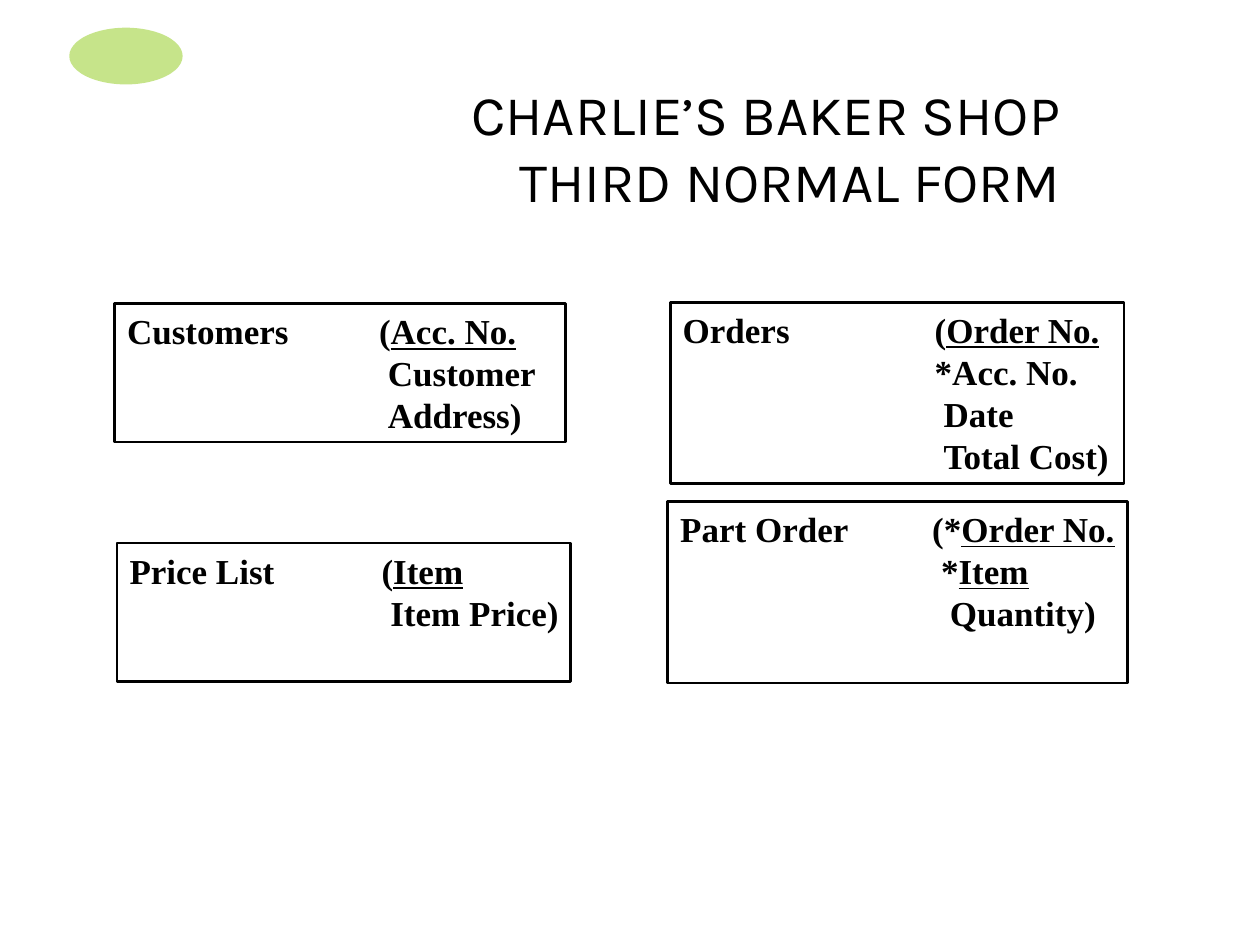
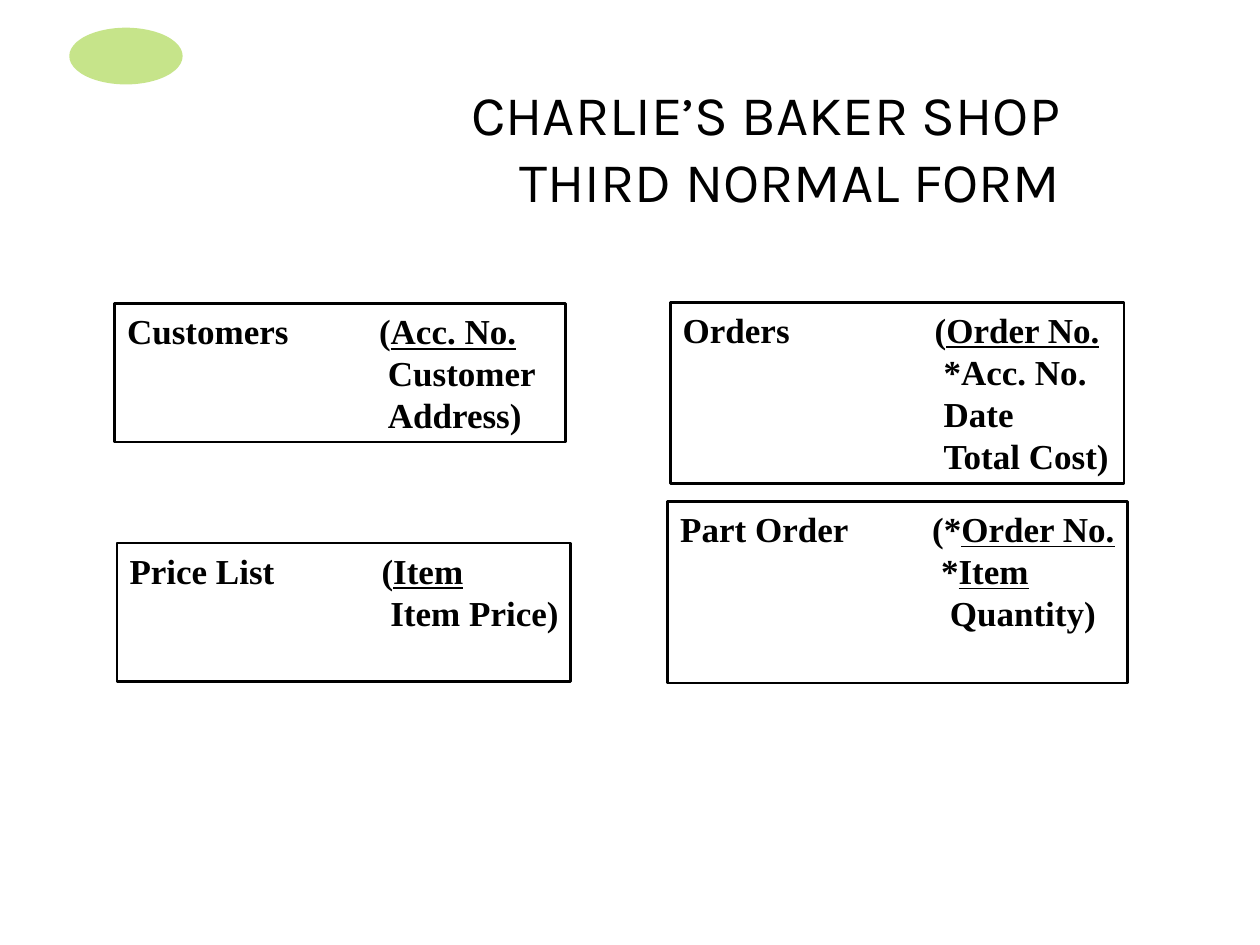
import dataclasses
import typing

import lxml.etree
import pptx
import pptx.dml.color
import pptx.enum.shapes
import pptx.enum.text
import pptx.oxml.ns
import pptx.util

# Shared grid and style: 100 columns by 75 rows
COLUMNS, ROWS = 100, 75
SLIDE_WIDTH, SLIDE_HEIGHT = pptx.util.Inches(10), pptx.util.Inches(7.5)
INK, LEAF = "000000", "8FCB17"
TITLE = "CHARLIE’S BAKER SHOP\vTHIRD NORMAL FORM"
TITLE_FONT = {"name": "Karla", "size": pptx.util.Pt(32), "bold": False}
ENTITY_FONT = {"name": "Times New Roman", "size": pptx.util.Pt(20), "bold": True}
FIELD_TAB, FIELD_STEP = 2.0, 0.07  # inches from the text edge


@dataclasses.dataclass(frozen=True)
class Area:
    column: float
    row: float
    columns: float
    rows: float

    def emu(self) -> typing.Tuple[int, int, int, int]:
        cell_width, cell_height = SLIDE_WIDTH / COLUMNS, SLIDE_HEIGHT / ROWS
        return (round(self.column * cell_width), round(self.row * cell_height),
                round(self.columns * cell_width), round(self.rows * cell_height))


@dataclasses.dataclass(frozen=True)
class Field:
    plain: str
    key: str = ""  # underlined part
    depth: int = 1  # steps past the tab stop


@dataclasses.dataclass(frozen=True)
class Entity:
    name: str
    area: Area
    fields: typing.Tuple[Field, ...]


TITLE_AREA = Area(0, 4.2, 85.2, 14.9)
OVAL_AREA = Area(5.5, 2.2, 9, 4.5)


def entities(account_depth: int) -> typing.Tuple[Entity, ...]:
    return (
        Entity("Orders", Area(53.2, 24, 36, 14.4), (
            Field("(", "Order No.", 0), Field("*Acc. No.", depth=account_depth),
            Field("Date"), Field("Total Cost)"))),
        Entity("Price List", Area(9.3, 43.1, 36, 11), (
            Field("(", "Item", 0), Field("Item Price)"))),
        Entity("Part Order", Area(53, 39.8, 36.5, 14.4), (
            Field("(*", "Order No.", 0), Field("*", "Item"),
            Field("Quantity)", depth=2))),
        Entity("Customers", Area(9.1, 24.1, 35.8, 11), (
            Field("(", "Acc. No.", 0), Field("Customer"), Field("Address)"))),
    )


def colour(value: str) -> pptx.dml.color.RGBColor:
    return pptx.dml.color.RGBColor.from_string(value)


def apply(target: typing.Any, values: typing.Dict[str, typing.Any]) -> None:
    for name, value in values.items():
        setattr(target, name, value)


def add_child(parent: typing.Any, tag: str, **attributes: str) -> typing.Any:
    return lxml.etree.SubElement(parent, pptx.oxml.ns.qn(tag), attributes)


def place(shape: typing.Any, area: Area) -> None:
    apply(shape, dict(zip(("left", "top", "width", "height"), area.emu())))


def add_run(paragraph: typing.Any, text: str, underline: bool = False) -> None:
    run = paragraph.add_run()
    run.text = text
    apply(run.font, {**ENTITY_FONT, "underline": underline})
    run.font.color.rgb = colour(INK)


def prepare_layout(layout: typing.Any, slide: typing.Any) -> None:
    """Put the title area and the green oval on the shared layout."""
    place(layout.placeholders[0], TITLE_AREA)
    oval = slide.shapes.add_shape(
        pptx.enum.shapes.MSO_SHAPE.OVAL, *OVAL_AREA.emu())
    oval.shadow.inherit = False
    oval.fill.solid()
    oval.fill.fore_color.rgb = colour(LEAF)
    add_child(oval.element.find(".//" + pptx.oxml.ns.qn("a:srgbClr")),
              "a:alpha", val="50000")
    oval.line.fill.background()
    layout.shapes.element.append(oval.element)


def write_title(slide: typing.Any) -> None:
    frame = slide.shapes.title.text_frame
    frame.text = TITLE
    apply(frame, {"vertical_anchor": pptx.enum.text.MSO_ANCHOR.MIDDLE,
                  "auto_size": pptx.enum.text.MSO_AUTO_SIZE.NONE})
    paragraph = frame.paragraphs[0]
    paragraph.alignment = pptx.enum.text.PP_ALIGN.RIGHT
    for run in paragraph.runs:
        apply(run.font, TITLE_FONT)
        run.font.color.rgb = colour(INK)


def draw_entity(slide: typing.Any, entity: Entity) -> None:
    box = slide.shapes.add_shape(
        pptx.enum.shapes.MSO_SHAPE.RECTANGLE, *entity.area.emu())
    box.shadow.inherit = False
    box.fill.background()
    box.line.color.rgb = colour(INK)
    box.line.width = pptx.util.Pt(1.5)
    frame = box.text_frame
    apply(frame, {"word_wrap": True, "margin_right": 0,
                  "vertical_anchor": pptx.enum.text.MSO_ANCHOR.TOP})
    for index, field in enumerate(entity.fields):
        paragraph = frame.add_paragraph() if index else frame.paragraphs[0]
        apply(paragraph, {"alignment": pptx.enum.text.PP_ALIGN.LEFT,
                          "line_spacing": pptx.util.Pt(24)})
        stops = add_child(paragraph._p.get_or_add_pPr(), "a:tabLst")
        position = pptx.util.Inches(FIELD_TAB + FIELD_STEP * field.depth)
        add_child(stops, "a:tab", pos=str(position), algn="l")
        add_run(paragraph, ("" if index else entity.name) + "\t" + field.plain)
        if field.key:
            add_run(paragraph, field.key, underline=True)


def main() -> None:
    deck = pptx.Presentation()
    deck.slide_width, deck.slide_height = SLIDE_WIDTH, SLIDE_HEIGHT
    layout = deck.slide_layouts.get_by_name("Title Only")

    # The second slide moves the account number in by one step
    for account_depth in (0, 1):
        slide = deck.slides.add_slide(layout)
        if account_depth == 0:
            prepare_layout(layout, slide)
        write_title(slide)
        for entity in entities(account_depth):
            draw_entity(slide, entity)
    deck.save("out.pptx")


if __name__ == "__main__":
    main()
